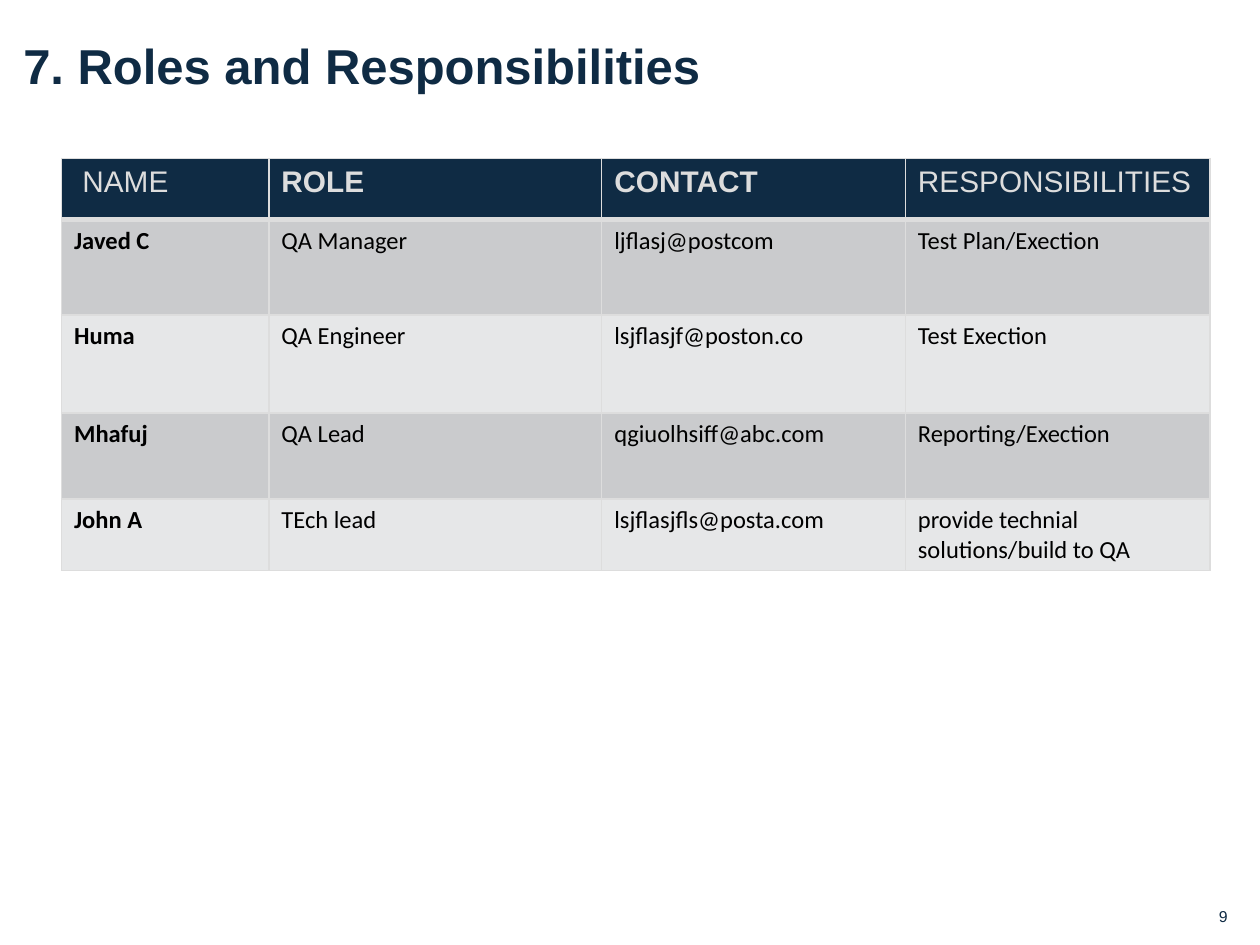
from lxml import etree
from pptx import Presentation
from pptx.dml.color import RGBColor
from pptx.enum.shapes import MSO_SHAPE
from pptx.enum.text import MSO_ANCHOR, PP_ALIGN
from pptx.oxml.ns import qn
from pptx.util import Cm, Pt

ROUND = MSO_SHAPE.ROUNDED_RECTANGLE
MIDDLE = MSO_ANCHOR.MIDDLE
LEFT, RIGHT = PP_ALIGN.LEFT, PP_ALIGN.RIGHT

NAVY = RGBColor(0x0F, 0x2B, 0x44)
PALE = RGBColor(0xDD, 0xDD, 0xDD)
BLACK = RGBColor(0x00, 0x00, 0x00)
BANDS = RGBColor(0xCA, 0xCB, 0xCD), RGBColor(0xE6, 0xE7, 0xE8)

HEADS = ["NAME", "ROLE", "CONTACT", "RESPONSIBILITIES"]
BOLD_HEADS = "ROLE", "CONTACT"
STAFF = [
    ["Javed C", "QA Manager", "ljflasj@postcom", "Test Plan/Exection"],
    ["Huma", "QA Engineer", "lsjflasjf@poston.co", "Test Exection"],
    ["Mhafuj", "QA Lead", "qgiuolhsiff@abc.com", "Reporting/Exection"],
    ["John A", "TEch lead", "lsjflasjfls@posta.com",
     "provide technial solutions/build to QA"],
]
WIDTHS = [4.18, 6.71, 6.12, 6.14]
HEIGHTS = [1.23, 1.92, 1.98, 1.73, 1.43]


def set_text(frame, text, size, font, color, bold=False, align=LEFT):
    frame.text = text
    para = frame.paragraphs[0]
    para.alignment = align
    face = para.runs[0].font
    face.size, face.name, face.bold = Pt(size), font, bold
    face.color.rgb = color


def set_frame(frame, inset):
    """Centre the text upright, with an inset on the right only."""
    frame.word_wrap = True
    frame.vertical_anchor = MIDDLE
    frame.margin_left = frame.margin_top = frame.margin_bottom = 0
    frame.margin_right = Cm(inset)


def add_title(slide, text):
    box = slide.shapes.add_textbox(Cm(0.47), Cm(0.15), Cm(23.9), Cm(2.31))
    set_frame(box.text_frame, 0.18)
    set_text(box.text_frame, text, 28, "Arial", NAVY, True)


def add_number(slide, text):
    shape = slide.shapes.add_shape(
        ROUND, Cm(23.98), Cm(17.96), Cm(1.07), Cm(1.02))
    shape.shadow.inherit = False
    shape.fill.background()
    shape.line.fill.background()
    set_frame(shape.text_frame, 0.25)
    set_text(shape.text_frame, text, 9, "Arial", NAVY, align=RIGHT)


def set_edges(cell, top, bottom):
    """Draw the four borders; top and bottom are widths in points."""
    props = cell._tc.get_or_add_tcPr()
    for side, width in zip("LRTB", (1, 1, top, bottom)):
        line = etree.SubElement(props, qn(f"a:ln{side}"), w=str(Pt(width)))
        fill = etree.SubElement(line, qn("a:solidFill"))
        etree.SubElement(fill, qn("a:srgbClr"), val=str(PALE))


def set_fill(cell, color):
    cell.fill.solid()
    cell.fill.fore_color.rgb = color


def add_roles(slide):
    rows = [HEADS] + STAFF
    table = slide.shapes.add_table(
        len(rows), len(HEADS), Cm(1.24), Cm(3.2),
        Cm(sum(WIDTHS)), Cm(sum(HEIGHTS))).table
    for col, width in zip(table.columns, WIDTHS):
        col.width = Cm(width)
    for row, height in zip(table.rows, HEIGHTS):
        row.height = Cm(height)
    for r, row in enumerate(rows):
        for c, text in enumerate(row):
            cell = table.cell(r, c)
            set_edges(cell, 3 if r == 1 else 1, 3 if r == 0 else 1)
            if r == 0:
                set_fill(cell, NAVY)
                set_text(cell.text_frame, text, 17, "Arial", PALE,
                         text in BOLD_HEADS)
            else:
                set_fill(cell, BANDS[(r - 1) % 2])
                set_text(cell.text_frame, text, 14, "Calibri", BLACK, c == 0)
    table.cell(0, 0).margin_left = Cm(0.42)


def main():
    deck = Presentation()
    deck.slide_width, deck.slide_height = Cm(25.4), Cm(19.05)
    slide = deck.slides.add_slide(deck.slide_layouts[6])
    add_number(slide, "9")
    add_title(slide, "7. Roles and Responsibilities")
    add_roles(slide)
    deck.save("out.pptx")


if __name__ == "__main__":
    main()
